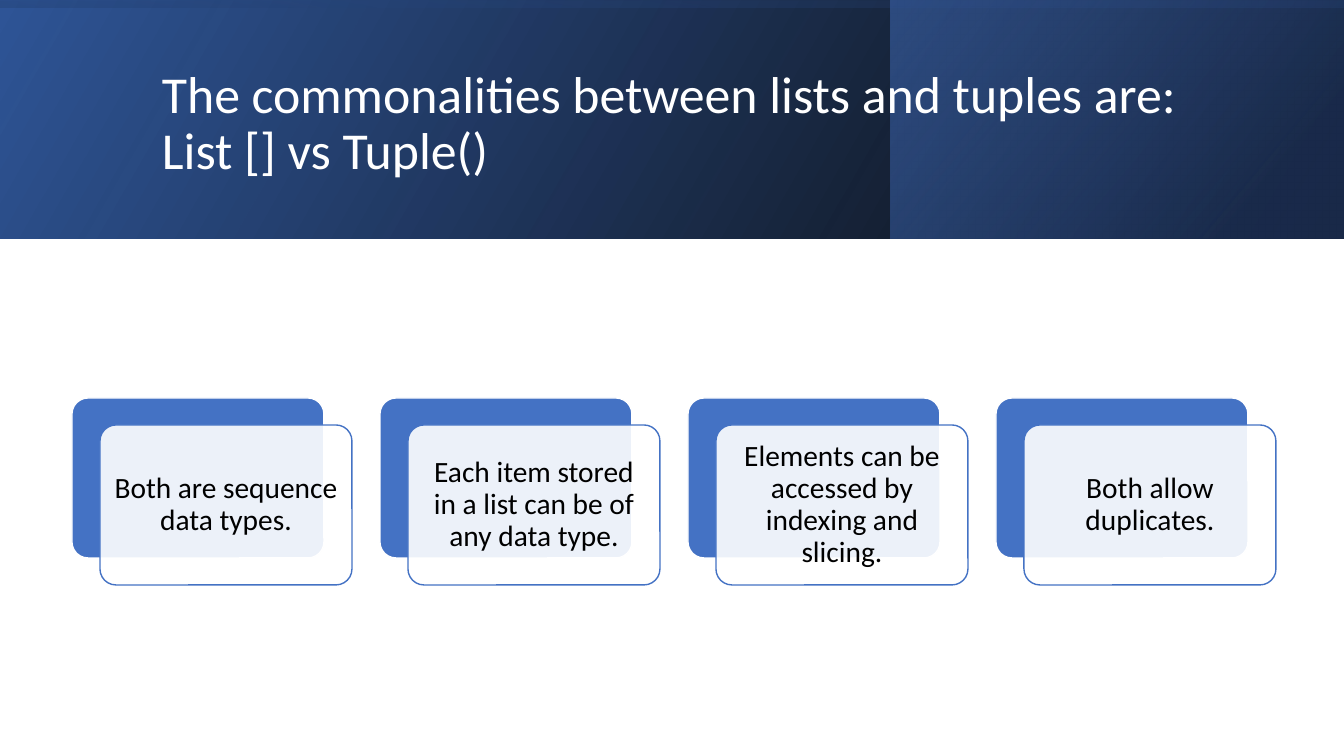
from lxml.etree import SubElement as Sub
from pptx import Presentation
from pptx.dml.color import RGBColor as Rgb
from pptx.enum.shapes import MSO_SHAPE as Kind
from pptx.enum.text import MSO_ANCHOR as Anchor, PP_ALIGN as Align
from pptx.oxml.ns import qn
from pptx.util import Pt

INK = {"white": "FFFFFF", "black": "000000", "blue": "4472C4",
       "deep": "2F5597", "navy": "203864"}
FONT = "Calibri"


def px(*sizes):
    return [round(n * 914400 / 100.8) for n in sizes]


def style(para, size, ink):
    para.line_spacing = 0.9
    para.font.size = Pt(size)
    para.font.name = FONT
    para.font.color.rgb = Rgb.from_string(INK[ink])


deck = Presentation()
deck.slide_width, deck.slide_height = px(1344, 756)
slide = deck.slides.add_slide(deck.slide_layouts[6])
shapes = slide.shapes

bands = [
    ((0, 0, 1344, 239), 0, 330, [(0, "black", 96), (100, "deep", 100)]),
    ((891, 0, 452, 239), 0, 320, [(19, "navy", 68), (100, "blue", 48)]),
    ((552, -552, 239, 1344), 270, 350, [(23, "deep", 16), (99, "black", 45)]),
]
for place, turn, angle, stops in bands:
    band = shapes.add_shape(Kind.RECTANGLE, *px(*place))
    band.shadow.inherit = False
    band.rotation = turn
    band.line.fill.background()
    props = band.element.spPr
    props.xfrm.set("flipH", "1")
    grad = Sub(props, qn("a:gradFill"), rotWithShape="1")
    props.find(qn("a:prstGeom")).addnext(grad)
    marks = Sub(grad, qn("a:gsLst"))
    for pos, ink, alpha in stops:
        mark = Sub(marks, qn("a:gs"), pos=str(pos * 1000))
        tone = Sub(mark, qn("a:srgbClr"), val=INK[ink])
        Sub(tone, qn("a:alpha"), val=str(alpha * 1000))
    Sub(grad, qn("a:lin"), ang=str(angle * 60000), scaled="0")

title = shapes.add_textbox(*px(152, 38, 1072, 173)).text_frame
title.word_wrap = True
title.vertical_anchor = Anchor.MIDDLE
head = title.paragraphs[0]
head.add_run().text = "The commonalities between lists and tuples are:"
head.add_line_break()
head.add_run().text = "List [] vs Tuple()"
style(head, 37, "white")

facts = [
    "Both are sequence data types.",
    "Each item stored in a list can be of any data type.",
    "Elements can be accessed by indexing and slicing.",
    "Both allow duplicates.",
]
LEFT, TOP, WIDE, HIGH, STEP = 72, 398, 252, 160, 308
for i, fact in enumerate(facts):
    left = LEFT + i * STEP
    for x, y, fill, edge in [(left, TOP, "blue", "white"),
                             (left + 28, TOP + 27, "white", "blue")]:
        card = shapes.add_shape(Kind.ROUNDED_RECTANGLE, *px(x, y, WIDE, HIGH))
        card.shadow.inherit = False
        card.adjustments[0] = 0.1
        card.fill.solid()
        card.fill.fore_color.rgb = Rgb.from_string(INK[fill])
        card.line.color.rgb = Rgb.from_string(INK[edge])
        card.line.width = Pt(1)
    tone = card.element.spPr.find(qn("a:solidFill"))[0]
    Sub(tone, qn("a:alpha"), val="90000")
    frame = card.text_frame
    frame.word_wrap = True
    frame.vertical_anchor = Anchor.MIDDLE
    (frame.margin_left, frame.margin_top,
     frame.margin_right, frame.margin_bottom) = px(9, 9, 9, 9)
    para = frame.paragraphs[0]
    para.text = fact
    para.alignment = Align.CENTER
    style(para, 21, "black")

deck.save("out.pptx")
